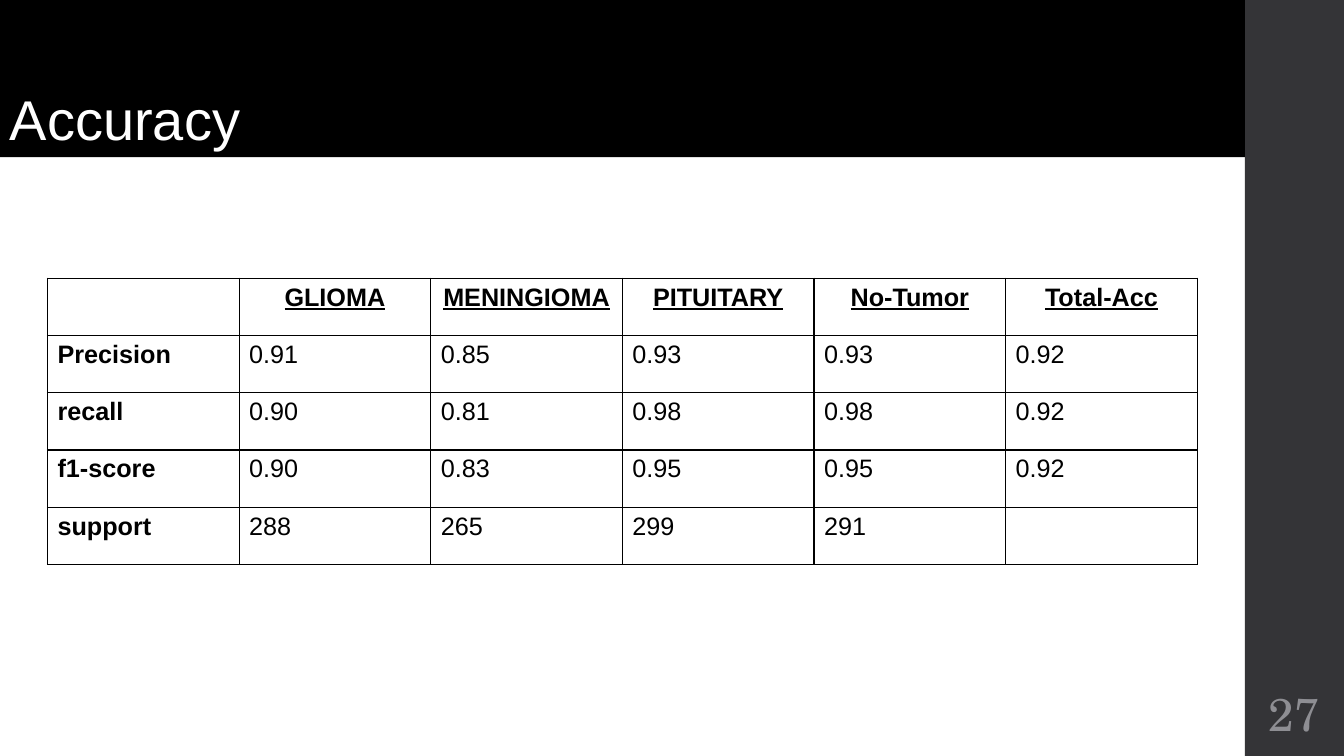
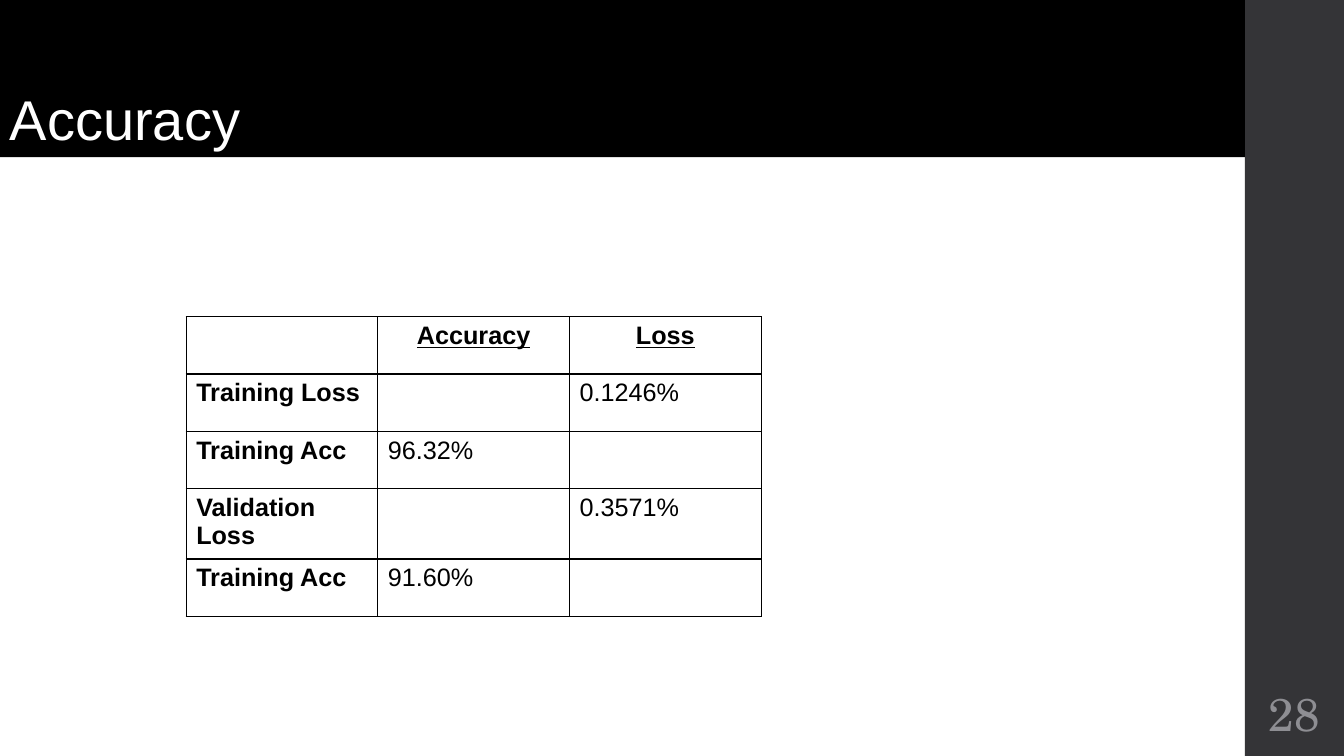
import pptx
import pptx.dml.color
import pptx.enum.shapes
import pptx.enum.text
import pptx.oxml
import pptx.oxml.ns
import pptx.util

Pt = pptx.util.Pt
ALIGN = pptx.enum.text.PP_ALIGN
ANCHOR = pptx.enum.text.MSO_ANCHOR

SLIDE_W, SLIDE_H = 960, 540
MAIN_W, TITLE_H = 889.2, 112.3
COL_W, ROW_H = 136.9, 40.9
BLACK, WHITE, CHARCOAL, GREY = "000000", "FFFFFF", "343437", "8E8E93"
SANS, SERIF = "Arial", "TeX Gyre Schola"

SLIDES = [
    dict(
        title="Accuracy",
        number=27,
        table_at=(33.9, 198.8),
        rows=[
            ["", "GLIOMA", "MENINGIOMA", "PITUITARY", "No-Tumor", "Total-Acc"],
            ["Precision", "0.91", "0.85", "0.93", "0.93", "0.92"],
            ["recall", "0.90", "0.81", "0.98", "0.98", "0.92"],
            ["f1-score", "0.90", "0.83", "0.95", "0.95", "0.92"],
            ["support", "288", "265", "299", "291", ""],
        ],
    ),
    dict(
        title="Accuracy",
        number=28,
        table_at=(133, 226.2),
        rows=[
            ["", "Accuracy", "Loss"],
            ["Training Loss", "", "0.1246%"],
            ["Training Acc", "96.32%", ""],
            ["Validation Loss", "", "0.3571%"],
            ["Training Acc", "91.60%", ""],
        ],
    ),
]


def set_color(target, value):
    if hasattr(target, "solid"):
        target.solid()
        target = target.fore_color
    else:
        target = target.color
    target.rgb = pptx.dml.color.RGBColor.from_string(value)


def write(tf, text, size=18, font=SANS, color=BLACK, bold=False,
          underline=False, align=ALIGN.LEFT, spacing=None):
    p = tf.paragraphs[0]
    p.alignment = align
    if spacing:
        p.line_spacing = spacing
    r = p.add_run()
    r.text = text
    r.font.size = Pt(size)
    r.font.name = font
    r.font.bold = bold
    r.font.underline = underline
    set_color(r.font, color)


def set_frame(tf, anchor, side, top):
    tf.word_wrap = True
    tf.vertical_anchor = anchor
    tf.margin_left = tf.margin_right = Pt(side)
    tf.margin_top = tf.margin_bottom = Pt(top)


def add_band(s, x, y, w, h, fill):
    sp = s.shapes.add_shape(pptx.enum.shapes.MSO_SHAPE.RECTANGLE,
                            Pt(x), Pt(y), Pt(w), Pt(h))
    sp.shadow.inherit = False
    set_color(sp.fill, fill)
    sp.line.fill.background()
    return sp


def add_title(s, x, y, w, h, text):
    tf = add_band(s, x, y, w, h, BLACK).text_frame
    set_frame(tf, ANCHOR.BOTTOM, 7.2, 3.6)
    write(tf, text, size=40, color=WHITE, spacing=0.9)


def add_sidebar(s, x, y, w, h, number):
    add_band(s, x, y, w, h, CHARCOAL)
    number_h, gap = 46.8, 7.2
    box = s.shapes.add_textbox(Pt(x), Pt(y + h - number_h - gap), Pt(w), Pt(number_h))
    set_frame(box.text_frame, ANCHOR.MIDDLE, 3.6, 3.6)
    write(box.text_frame, str(number), size=32.8, font=SERIF, color=GREY,
          align=ALIGN.CENTER)


def add_borders(cell, color=BLACK, width=0.96):
    tc_pr = cell._tc.get_or_add_tcPr()
    for side in "LRTB":
        tc_pr.append(pptx.oxml.parse_xml(
            f'<a:ln{side} {pptx.oxml.ns.nsdecls("a")} w="{int(Pt(width))}">'
            f'<a:solidFill><a:srgbClr val="{color}"/></a:solidFill></a:ln{side}>'))


def add_grid(s, x, y, rows):
    n_rows, n_cols = len(rows), len(rows[0])
    table = s.shapes.add_table(n_rows, n_cols, Pt(x), Pt(y),
                               Pt(n_cols * COL_W), Pt(n_rows * ROW_H)).table
    table.first_row = table.horz_banding = False
    for col in table.columns:
        col.width = Pt(COL_W)
    for row in table.rows:
        row.height = Pt(ROW_H)
    for i, values in enumerate(rows):
        for j, value in enumerate(values):
            cell = table.cell(i, j)
            add_borders(cell)
            set_color(cell.fill, WHITE)
            if value:
                header = i == 0
                write(cell.text_frame, value, bold=header or j == 0, underline=header,
                      align=ALIGN.CENTER if header else ALIGN.LEFT)


def add_table_slide(prs, title, number, table_at, rows):
    s = prs.slides.add_slide(prs.slide_layouts[6])
    set_color(s.background.fill, WHITE)
    add_sidebar(s, MAIN_W, 0, SLIDE_W - MAIN_W, SLIDE_H, number)
    add_title(s, 0, 0, MAIN_W, TITLE_H, title)
    add_grid(s, *table_at, rows)


def main():
    prs = pptx.Presentation()
    prs.slide_width, prs.slide_height = Pt(SLIDE_W), Pt(SLIDE_H)
    for content in SLIDES:
        add_table_slide(prs, **content)
    prs.save("out.pptx")


if __name__ == "__main__":
    main()
